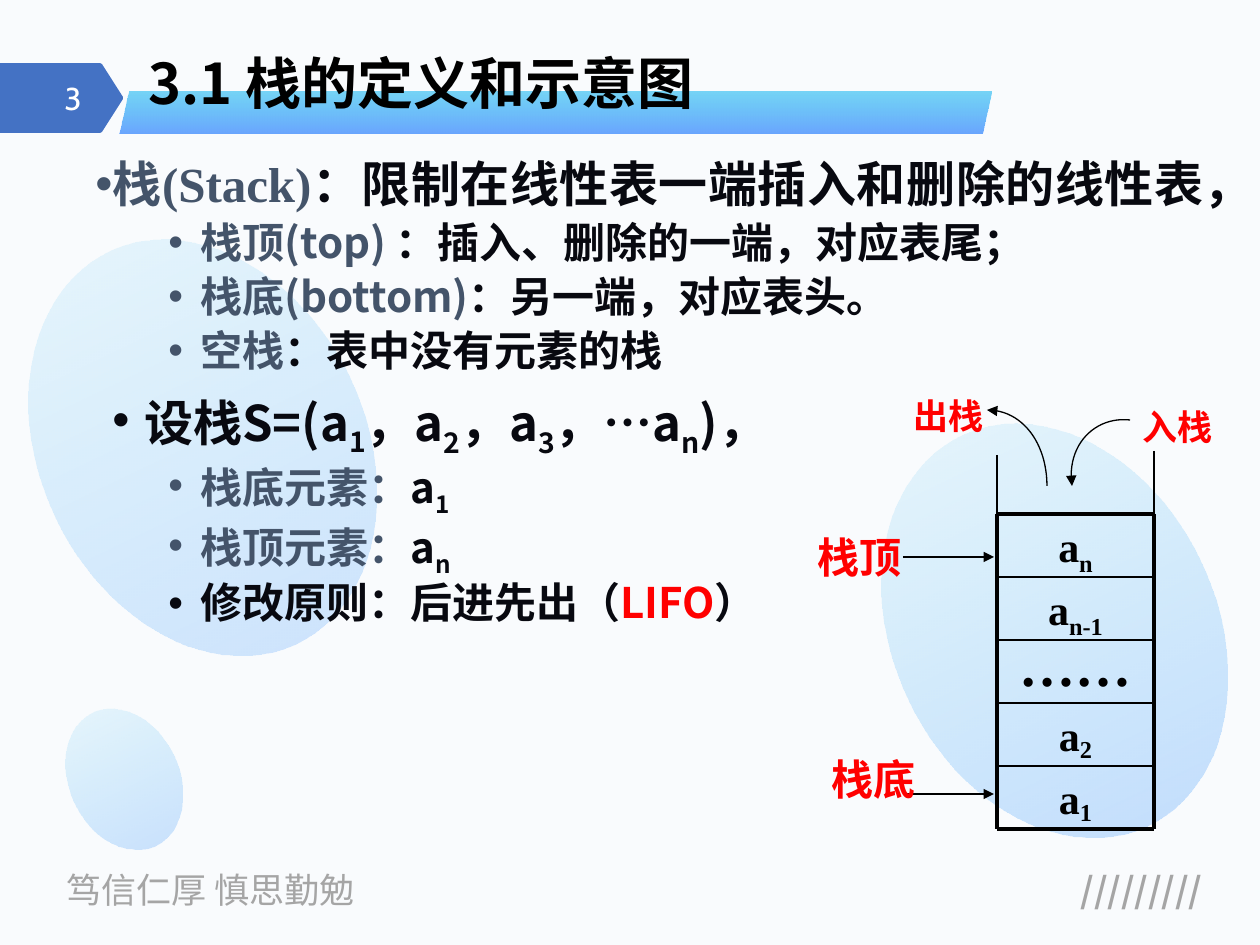
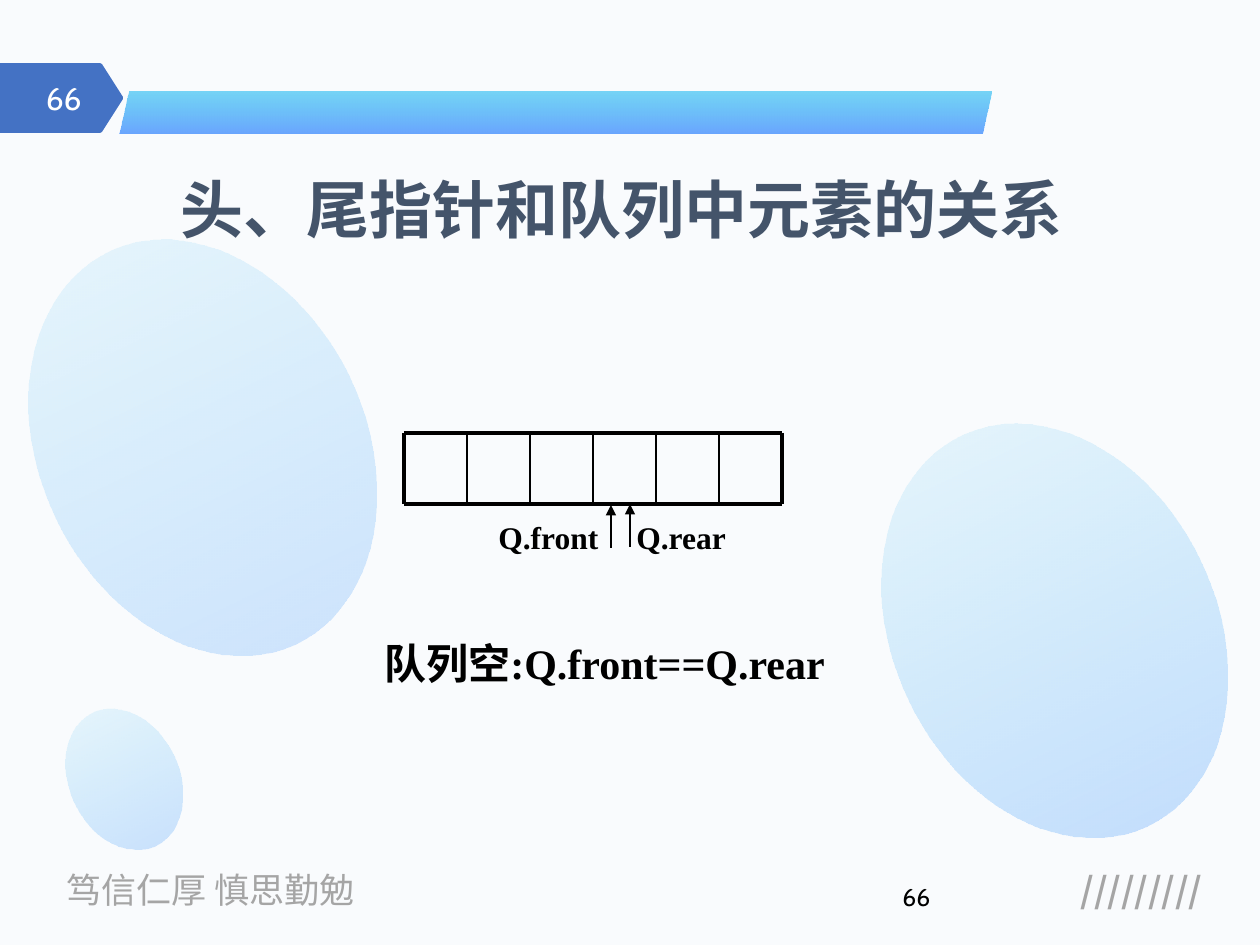
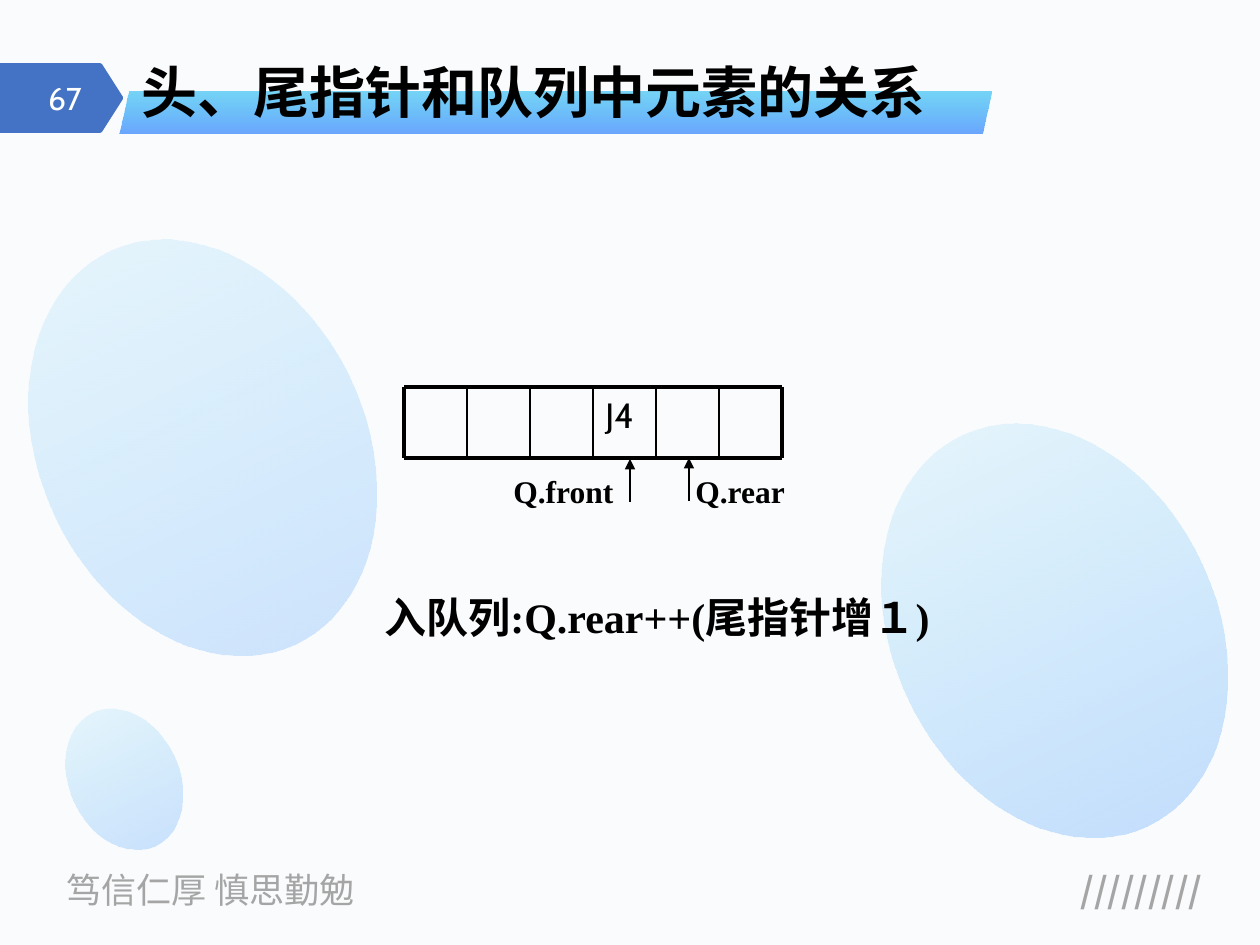
from lxml import etree
from pptx import Presentation
from pptx.dml.color import RGBColor
from pptx.enum.shapes import MSO_CONNECTOR, MSO_SHAPE
from pptx.enum.text import MSO_ANCHOR, MSO_AUTO_SIZE, PP_ALIGN
from pptx.oxml.ns import qn
from pptx.util import Emu, Pt

PX = 914400 / 126

# Colours and fonts
PAPER, FLAG, GREY, WHITE = "F9FBFD", "4472C4", "A5A5A5", "FFFFFF"
BLACK, RED, SLATE, INK = "000000", "FF0000", "44546A", "080910"
SKY, BLUE = "00B0F0", "3385FF"
NOTO, TIMES, CABIN, ARIAL = "Noto Sans CJK SC", "Times New Roman", "Cabin", "Arial"
LEFT, CENTER, RIGHT = PP_ALIGN.LEFT, PP_ALIGN.CENTER, PP_ALIGN.RIGHT

# Shared decoration: box, opacity of the blue end
BUBBLES = [((69, 706, 110, 146), 24), ((893, 415, 323, 431), 27), ((40, 231, 325, 433), 22)]
BUBBLE_TURN = 154.4
BAND = (120, 92, 872, 41)
FLAG_OUTLINE = [(0, 63), (100, 63), (102, 64), (123, 97), (123, 99), (102, 132), (100, 133), (0, 133)]
FOOTERS = [("笃信仁厚 慎思勤勉", (54, 862, 340, 55), LEFT, False),
           ("/////////", (966, 862, 249, 55), RIGHT, True)]
NUMBER_BOX = (13, 73, 81, 50)

# Slide titles: page, text, box, size, colour, line spacing
TITLES = [
    ("3", "3.1 栈的定义和示意图", (136, 50, 806, 73), 32, BLACK, 0.9),
    ("66", "头、尾指针和队列中元素的关系", (168, 94, 955, 158), 36, SLATE, 1.0),
    ("67", "头、尾指针和队列中元素的关系", (129, 50, 863, 82), 32, BLACK, 0.9),
]

# Stack definition: size, margin, indent, space before, runs of (text, colour, font, baseline)
INTRO, SEQUENCE, DETAIL = (28, 0, 0, 0), (28, 49, -32, 10), (24, 105, -32, 5)
BODY_BOX = (83, 154, 1134, 671)
BODY = [
    (INTRO, [("栈(Stack)", SLATE, TIMES, 0), ("：", INK, TIMES, 0),
             ("限制在线性表一端插入和删除的线性表，", INK, NOTO, 0)]),
    (DETAIL, [("栈顶(top) ", SLATE, NOTO, 0), ("：插入、删除的一端，", INK, NOTO, 0),
              ("对应表尾；", INK, TIMES, 0)]),
    (DETAIL, [("栈底(bottom)", SLATE, NOTO, 0), ("：另一端，", INK, NOTO, 0),
              ("对应表头。", INK, TIMES, 0)]),
    (DETAIL, [("空栈", SLATE, NOTO, 0), ("：表中没有元素的栈", INK, NOTO, 0)]),
    (SEQUENCE, [("设栈S=(a", INK, NOTO, 0), ("1", INK, NOTO, -24), ("，a", INK, NOTO, 0),
                ("2", INK, NOTO, -25), ("，a", INK, NOTO, 0), ("3", INK, NOTO, -25),
                ("，", INK, NOTO, 0), ("…", INK, ARIAL, 0), ("a", INK, NOTO, 0),
                ("n", INK, NOTO, -25), (")，", INK, NOTO, 0)]),
    (DETAIL, [("栈底元素：", SLATE, NOTO, 0), ("a", INK, NOTO, 0), ("1", INK, NOTO, -25)]),
    (DETAIL, [("栈顶元素：", SLATE, NOTO, 0), ("a", INK, NOTO, 0), ("n", INK, NOTO, -25)]),
    (DETAIL, [("修改原则：后进先出（", INK, NOTO, 0), ("LIFO", RED, NOTO, 0), ("）", INK, NOTO, 0)]),
]

# Stack drawing: cells from top to bottom as (subscript, baseline), None for the gap
STACK_LEFT, STACK_RIGHT, STACK_TOP, CELL = 997, 1154, 514, 63
STACK_CELLS = [("n", -25), ("n-1", -25), None, ("2", -18), ("1", -18)]
STACK_LABELS = [("栈顶", (805, 525, 116, 63), 24, True), ("栈底", (819, 747, 122, 63), 24, True),
                ("出栈", (901, 388, 116, 54), 20, True), ("入栈", (1130, 399, 96, 54), 20, False)]
STACK_POINTERS = [557, 794]
POP_CURVE = [(1047, 486), (1047, 444), (1023, 410), (987, 410)]
PUSH_CURVE = [(1130, 420), (1096, 416), (1066, 444), (1072, 486)]

# Queues
QUEUE_LEFT, QUEUE_CELLS, QUEUE_HEIGHT = 404, 6, 71
EMPTY_QUEUE = {"top": 433, "front": 611, "front_label": 486, "rear": 630, "items": {},
               "caption": "队列空:Q.front==Q.rear", "caption_width": 467}
ENQUEUED = {"top": 387, "front": 630, "front_label": 501, "rear": 689, "items": {3: "J4"},
            "caption": "入队列:Q.rear++(尾指针增１)", "caption_width": 573}


def px(length):
    return Emu(round(length * PX))


def rgb(colour):
    return RGBColor.from_string(colour)


# Text
def add_run(paragraph, text, size, colour, font=NOTO, bold=False, base=0):
    run = paragraph.add_run()
    run.text = text
    run.font.size, run.font.bold, run.font.name = Pt(size), bold, font
    run.font.color.rgb = rgb(colour)
    properties = run._r.get_or_add_rPr()
    etree.SubElement(properties, qn("a:ea")).set("typeface", NOTO)
    if base:
        properties.set("baseline", str(base * 1000))


def add_box(slide, box, wrap=True, anchor=MSO_ANCHOR.TOP):
    frame = slide.shapes.add_textbox(*map(px, box)).text_frame
    frame.word_wrap, frame.vertical_anchor = wrap, anchor
    return frame


def add_label(slide, text, box, size, colour=BLACK, font=TIMES, bold=True,
              align=LEFT, wrap=True, anchor=MSO_ANCHOR.TOP):
    paragraph = add_box(slide, box, wrap, anchor).paragraphs[0]
    paragraph.alignment = align
    add_run(paragraph, text, size, colour, font, bold)


def set_bullet(paragraph, margin, indent):
    properties = paragraph._p.get_or_add_pPr()
    properties.set("marL", str(px(margin)))
    properties.set("indent", str(px(indent)))
    etree.SubElement(properties, qn("a:buFont")).set("typeface", ARIAL)
    etree.SubElement(properties, qn("a:buChar")).set("char", "•")


# Lines and outlines
def style_line(shape, width, arrow):
    shape.line.color.rgb, shape.line.width = rgb(BLACK), Pt(width)
    if arrow:
        etree.SubElement(shape.line._get_or_add_ln(), qn("a:tailEnd")).set("type", "triangle")


def add_line(slide, x1, y1, x2, y2, width=0.75, arrow=False):
    line = slide.shapes.add_connector(MSO_CONNECTOR.STRAIGHT, *map(px, (x1, y1, x2, y2)))
    style_line(line, width, arrow)
    etree.SubElement(line._element.spPr, qn("a:effectLst"))


def add_outline(slide, points, close):
    start, *rest = [(px(x), px(y)) for x, y in points]
    builder = slide.shapes.build_freeform(*start)
    builder.add_line_segments(rest, close=close)
    outline = builder.convert_to_shape()
    outline.shadow.inherit = False
    return outline


def add_curved_arrow(slide, controls, steps=24):
    points = []
    for step in range(steps + 1):
        t = step / steps
        weights = ((1 - t) ** 3, 3 * t * (1 - t) ** 2, 3 * t * t * (1 - t), t ** 3)
        points.append([sum(w * c[axis] for w, c in zip(weights, controls)) for axis in (0, 1)])
    curve = add_outline(slide, points, close=False)
    curve.fill.background()
    style_line(curve, 0.75, arrow=True)


def add_gradient_shape(slide, kind, box, stops):
    shape = slide.shapes.add_shape(kind, *map(px, box))
    shape.shadow.inherit = False
    shape.line.fill.background()
    shape.fill.gradient()
    shape.fill.gradient_angle = 270
    for stop, (colour, _) in zip(shape.fill.gradient_stops, stops):
        stop.color.rgb = rgb(colour)
    gradient = shape._element.spPr.find(qn("a:gradFill"))
    for tone, (_, opacity) in zip(gradient.iter(qn("a:srgbClr")), stops):
        etree.SubElement(tone, qn("a:alpha")).set("val", str(opacity * 1000))
    return shape


# Shared layout: drawn on a slide, then moved behind all slides
def decorate_layout(layout, slide):
    for holder in list(layout.placeholders):
        if holder.placeholder_format.idx:
            holder._element.getparent().remove(holder._element)
    for text, box, align, bold in FOOTERS:
        add_label(slide, text, box, 20, GREY, NOTO, bold, align)
    for box, opacity in BUBBLES:
        bubble = add_gradient_shape(slide, MSO_SHAPE.OVAL, box, [(BLUE, opacity), (SKY, 8)])
        bubble.rotation = BUBBLE_TURN
    flag = add_outline(slide, FLAG_OUTLINE, close=True)
    flag.fill.solid()
    flag.fill.fore_color.rgb = rgb(FLAG)
    flag.line.fill.background()
    band = add_gradient_shape(slide, MSO_SHAPE.PARALLELOGRAM, BAND, [(SKY, 52), (BLUE, 73)])
    band.adjustments[0] = 0.233
    for shape in list(slide.shapes):
        if not shape.is_placeholder:
            layout.shapes._spTree.append(shape._element)


def add_heading(slide, page, text, box, size, colour, spacing):
    title = slide.shapes.title
    title.left, title.top, title.width, title.height = map(px, box)
    frame = title.text_frame
    frame.word_wrap, frame.auto_size = True, MSO_AUTO_SIZE.NONE
    frame.vertical_anchor = MSO_ANCHOR.BOTTOM
    paragraph = frame.paragraphs[0]
    paragraph.alignment, paragraph.line_spacing = LEFT, spacing
    add_run(paragraph, text, size, colour, bold=True)
    add_label(slide, page, NUMBER_BOX, 18, WHITE, CABIN, False, RIGHT, anchor=MSO_ANCHOR.MIDDLE)


# Stack slide
def add_definition(slide):
    frame = add_box(slide, BODY_BOX)
    for number, ((size, margin, indent, before), runs) in enumerate(BODY):
        paragraph = frame.add_paragraph() if number else frame.paragraphs[0]
        set_bullet(paragraph, margin, indent)
        paragraph.alignment, paragraph.line_spacing = PP_ALIGN.JUSTIFY, 0.9
        paragraph.space_before = Pt(before)
        for text, colour, font, base in runs:
            add_run(paragraph, text, size, colour, font, True, base)


def add_stack(slide):
    count = len(STACK_CELLS)
    bottom = STACK_TOP + count * CELL
    for row, cell in enumerate(STACK_CELLS):
        top = STACK_TOP + row * CELL
        if cell is None:
            add_label(slide, "……", (STACK_LEFT + 10, top - 16, 144, 79), 32)
            continue
        subscript, base = cell
        paragraph = add_box(slide, (STACK_LEFT, top, STACK_RIGHT - STACK_LEFT, CELL)).paragraphs[0]
        paragraph.alignment = CENTER
        add_run(paragraph, "a", 24, BLACK, TIMES, True)
        add_run(paragraph, subscript, 24, BLACK, TIMES, True, base)
    for row in range(count + 1):
        y = STACK_TOP + row * CELL
        add_line(slide, STACK_LEFT, y, STACK_RIGHT, y, 2.25 if row in (0, count) else 1)
    for x in (STACK_LEFT, STACK_RIGHT):
        add_line(slide, x, STACK_TOP, x, bottom, 2.25)
    # Open mouth of the stack
    add_line(slide, STACK_LEFT, 455, STACK_LEFT, 570, 0.75)
    add_line(slide, STACK_RIGHT, 451, STACK_RIGHT, 557, 1.5)
    for y in STACK_POINTERS:
        add_line(slide, 903, y, STACK_LEFT - 3, y, arrow=True)
    for curve in (POP_CURVE, PUSH_CURVE):
        add_curved_arrow(slide, curve)
    for text, box, size, wrap in STACK_LABELS:
        add_label(slide, text, box, size, RED, wrap=wrap)


# Queue slides
def add_queue(slide, queue):
    top = queue["top"]
    bottom = top + QUEUE_HEIGHT
    for cell, item in queue["items"].items():
        add_label(slide, item, (QUEUE_LEFT + cell * CELL, top, CELL, QUEUE_HEIGHT), 20,
                  font=CABIN, bold=False)
    for y in (top, bottom):
        add_line(slide, QUEUE_LEFT, y, QUEUE_LEFT + QUEUE_CELLS * CELL, y, 2.25)
    for column in range(QUEUE_CELLS + 1):
        x = QUEUE_LEFT + column * CELL
        add_line(slide, x, top, x, bottom, 2.25 if column in (0, QUEUE_CELLS) else 1)
    add_line(slide, queue["front"], bottom + 44, queue["front"], bottom + 1, arrow=True)
    add_line(slide, queue["rear"], bottom + 43, queue["rear"], bottom, arrow=True)
    add_label(slide, "Q.front", (queue["front_label"], top + 79, 139, 50), 18)
    add_label(slide, "Q.rear", (queue["rear"] - 6, top + 79, 116, 50), 18, wrap=False)
    add_label(slide, queue["caption"], (372, top + 198, queue["caption_width"], 63), 24)


def main():
    deck = Presentation()
    deck.slide_width, deck.slide_height = px(1260), px(945)
    background = deck.slide_master.background.fill
    background.solid()
    background.fore_color.rgb = rgb(PAPER)
    layout = deck.slide_layouts[5]
    slides = [deck.slides.add_slide(layout) for _ in TITLES]
    decorate_layout(layout, slides[0])
    for slide, heading in zip(slides, TITLES):
        add_heading(slide, *heading)

    stack_slide, empty_slide, enqueue_slide = slides
    add_definition(stack_slide)
    add_stack(stack_slide)
    add_queue(empty_slide, EMPTY_QUEUE)
    add_label(empty_slide, "66", (890, 876, 284, 50), 14, font=CABIN, bold=False)
    add_queue(enqueue_slide, ENQUEUED)
    deck.save("out.pptx")


if __name__ == "__main__":
    main()
